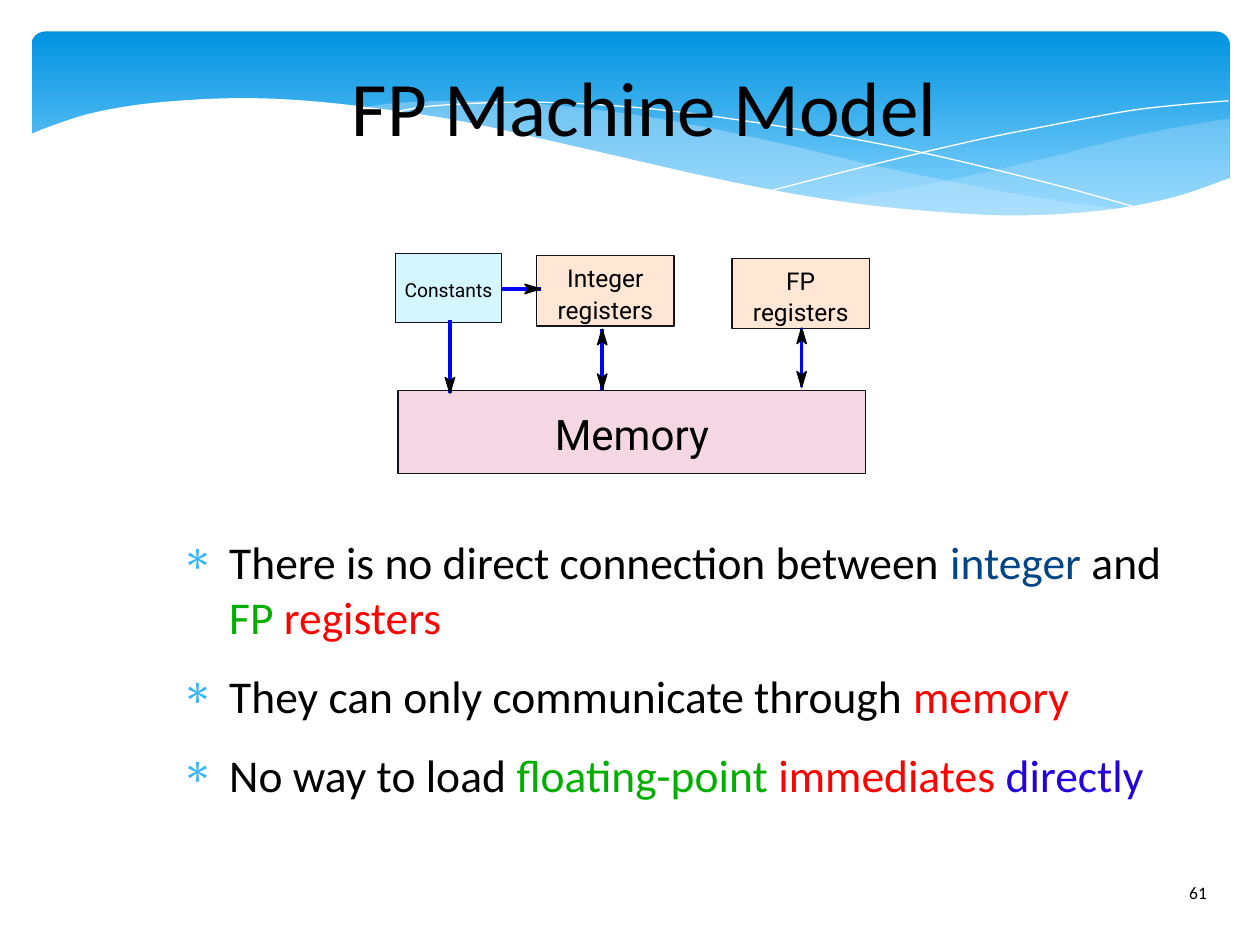
from lxml import etree
from pptx import Presentation
from pptx import util as u
from pptx.dml.color import RGBColor
from pptx.enum import shapes, text
from pptx.oxml.ns import qn

BLACK, WHITE, RED, GREEN = "000000", "FFFFFF", "FF0000", "00AE00"


def color(hex_code):
    """Turn a hex string into a colour."""
    return RGBColor.from_string(hex_code)


def paint(shape, fill=None, line=None, opacity=100):
    """Set fill, hairline and fill opacity, and drop the shadow."""
    shape.shadow.inherit = False
    if fill:
        shape.fill.solid()
        shape.fill.fore_color.rgb = color(fill)
        if opacity < 100:
            tint = shape.fill._xPr.find(qn("a:solidFill"))[0]
            etree.SubElement(tint, qn("a:alpha"), val=str(opacity * 1000))
    else:
        shape.fill.background()
    if line:
        shape.line.color.rgb = color(line)
        shape.line.width = u.Pt(0)
    else:
        shape.line.fill.background()


def smooth(knots, steps=5):
    """Return points on a Catmull-Rom curve through the knots."""
    if len(knots) < 3:
        return knots
    ends = [knots[0], *knots, knots[-1]]
    curve = [knots[0]]
    for a, b, c, d in zip(ends, ends[1:], ends[2:], ends[3:]):
        for step in range(1, steps + 1):
            t = step / steps
            curve.append(tuple(
                q + t / 2 * (r - p + t * (2 * p - 5 * q + 4 * r - s + t * (3 * (q - r) + s - p)))
                for p, q, r, s in zip(a, b, c, d)))
    return curve


def outline(slide, origin, points, close=True):
    """Draw a freeform through points given relative to origin."""
    spots = [(u.Pt(origin[0] + x), u.Pt(origin[1] + y)) for x, y in points]
    builder = slide.shapes.build_freeform(*spots[0], scale=1.0)
    builder.add_line_segments(spots[1:], close=close)
    return builder.convert_to_shape()


def write(paragraph, content, size, font="Calibri", align=None):
    """Fill a paragraph with (text, colour) runs in one font."""
    paragraph.font.size = u.Pt(size)
    paragraph.font.name = font
    paragraph.alignment = align
    for words, hue in content:
        run = paragraph.add_run()
        run.text = words
        run.font.color.rgb = color(hue)


def text_frame(slide, box, inset=(0, 0), anchor=text.MSO_ANCHOR.TOP):
    """Add a wrapping text box and return its frame."""
    frame = slide.shapes.add_textbox(*map(u.Pt, box)).text_frame
    frame.word_wrap = True
    frame.vertical_anchor = anchor
    frame.margin_left = frame.margin_right = u.Pt(inset[0])
    frame.margin_top = frame.margin_bottom = u.Pt(inset[1])
    return frame


def header(slide, box):
    """Draw the blue banner with its waves."""
    banner = slide.shapes.add_shape(shapes.MSO_SHAPE.ROUNDED_RECTANGLE, *map(u.Pt, box))
    paint(banner)
    banner.adjustments[0] = 0.07
    banner.fill.gradient()
    banner.fill.gradient_angle = 270
    for stop, place, hue in zip(banner.fill.gradient_stops, (0, 0.9), ("0293E0", "83D3FE")):
        stop.position = place
        stop.color.rgb = color(hue)

    right_band = [
        [(684.7, 49.7), (655.2, 54.7), (623.5, 61.2), (581, 72), (524.2, 85), (457.9, 97.2)],
        [(457.9, 97.2), (499.7, 102.2), (535.7, 105.1), (575.3, 105.8), (609.8, 103.7),
         (645.1, 97.2), (665.3, 91.4), (684.7, 83.5)]]
    left_band = [
        [(625, 102.2), (563, 92.9), (490.3, 78.5), (434.9, 65.5), (381.6, 54), (334.1, 46.1),
         (284.4, 41), (241.9, 39.6), (207.4, 41), (187.9, 43.9)],
        [(187.9, 43.9), (228.2, 49.7), (272.9, 58.3), (335.5, 72.7), (389.5, 85), (438.5, 94.3),
         (482.4, 100.8), (529.9, 105.1), (571, 106.6), (599, 105.1), (625, 102.2)]]
    falling_line = [
        [(204.5, 46.8), (229.7, 42.5), (281.5, 40.3), (334.1, 42.5), (382.3, 47.5),
         (439.9, 56.2), (505.4, 68.4), (580.3, 86.4), (635, 101.5)]]
    rising_line = [
        [(423.4, 90.7), (482.4, 75.6), (540.7, 61.9), (583.9, 53.3), (626.4, 45.4),
         (657.4, 41.8), (684, 39.6)]]
    white_wave = [
        [(685.4, 83.5), (651.6, 95), (612, 102.2), (564.5, 105.1), (517.7, 103), (463, 97.2),
         (398.9, 85.7), (303.8, 64.1), (244.8, 51.1), (192.2, 43.2), (147.6, 38.9),
         (109.4, 38.2), (67.7, 41), (36.7, 46.1), (15.1, 52.6), (-1.4, 59)],
        [(-1.4, 143.3), (685.4, 143.3)]]
    for edges, fill, line, opacity in (
            (right_band, "C6E7FC", None, 29), (left_band, "C6E7FC", None, 40),
            (falling_line, None, WHITE, 100), (rising_line, None, WHITE, 100),
            (white_wave, WHITE, None, 100)):
        points = [point for edge in edges for point in smooth(edge)]
        paint(outline(slide, box, points, close=line is None), fill, line, opacity)


def arrow(slide, origin, start, end, both=False):
    """Draw a straight arrow with dart heads at the end, or at both ends."""
    ends = [u.Pt(o + v) for spot in (start, end) for o, v in zip(origin, spot)]
    shaft = slide.shapes.add_connector(shapes.MSO_CONNECTOR.STRAIGHT, *ends)
    shaft.line.color.rgb = color("0000FF")
    shaft.line.width = u.Pt(0)
    etree.SubElement(shaft._element.spPr, qn("a:effectLst"))
    for tail, tip in [(start, end)] + [(end, start)] * both:
        run, rise = tip[0] - tail[0], tip[1] - tail[1]
        length = abs(run) + abs(rise)
        dx, dy = run / length, rise / length
        dart = [(tip[0] - back * dx - side * dy, tip[1] - back * dy + side * dx)
                for back, side in ((0, 0), (9, 2.7), (6.8, 0), (9, -2.7))]
        paint(outline(slide, origin, dart), BLACK, BLACK)


def machine_diagram(slide, box):
    """Draw the register and memory blocks with their arrows."""
    for x, y, w, h, fill, size, lines in (
            (0, 0, 60.5, 39.6, "D5F6FF", 11, ["Constants"]),
            (80.6, 1.4, 78.5, 40.3, "FFE6D5", 14, ["Integer", "registers"]),
            (192.2, 2.9, 78.5, 40.3, "FFE6D5", 14, ["FP", "registers"]),
            (1.4, 78.5, 267.1, 47.5, "F4D7E3", 24, ["Memory"])):
        block = slide.shapes.add_shape(
            shapes.MSO_SHAPE.RECTANGLE, *map(u.Pt, (box[0] + x, box[1] + y, w, h)))
        paint(block, fill, "15111D")
        frame = block.text_frame
        frame.margin_left = frame.margin_right = frame.margin_bottom = 0
        frame.margin_top = u.Pt(2)
        frame.vertical_anchor = text.MSO_ANCHOR.MIDDLE
        for index, words in enumerate(lines):
            paragraph = frame.add_paragraph() if index else frame.paragraphs[0]
            write(paragraph, [(words, BLACK)], size, "Roboto", text.PP_ALIGN.CENTER)
            if len(lines) > 1:
                paragraph.line_spacing = u.Pt(18)
    arrow(slide, box, (31, 38.4), (31, 80))
    arrow(slide, box, (61, 20.4), (82.8, 20.4))
    arrow(slide, box, (118, 43.4), (118, 78), both=True)
    arrow(slide, box, (232, 42.7), (232, 76.6), both=True)


def bullets(slide, box, items):
    """Write the bulleted statements."""
    frame = text_frame(slide, box)
    for index, content in enumerate(items):
        paragraph = frame.add_paragraph() if index else frame.paragraphs[0]
        paragraph.space_after = u.Pt(14.1)
        props = paragraph._p.get_or_add_pPr()
        props.set("marL", str(u.Pt(44.6)))
        props.set("indent", str(u.Pt(-27.4)))
        hue = etree.SubElement(props, qn("a:buClr"))
        etree.SubElement(hue, qn("a:srgbClr"), val="31B6FD")
        etree.SubElement(props, qn("a:buChar"), char="\u2217")
        write(paragraph, content, 26)


def machine_model_slide(deck):
    """Build the slide from its regions."""
    slide = deck.slides.add_slide(deck.slide_layouts[6])
    header(slide, (18, 18, 684.7, 112.3))
    number = text_frame(slide, (672.5, 500.4, 44, 28.8), (7.2, 3.6))
    write(number.paragraphs[0], [("61", BLACK)], 10)
    title = text_frame(slide, (76.3, 23.8, 584, 73.4), anchor=text.MSO_ANCHOR.MIDDLE)
    write(title.paragraphs[0], [("FP Machine Model", BLACK)], 44, align=text.PP_ALIGN.CENTER)
    bullets(slide, (86.4, 305.3, 597.6, 180.7), [
        [("There is no direct connection between ", BLACK), ("integer", "004586"),
         (" and ", BLACK), ("FP ", GREEN), ("registers", RED)],
        [("They can only communicate through ", BLACK), ("memory", RED)],
        [("No way to load", BLACK), (" floating-point ", GREEN), ("immediates ", RED),
         ("directly", "2300DC")]])
    machine_diagram(slide, (226.1, 144.7, 270.7, 126))


deck = Presentation()
deck.slide_width, deck.slide_height = u.Pt(720), u.Pt(540)
machine_model_slide(deck)
deck.save("out.pptx")
